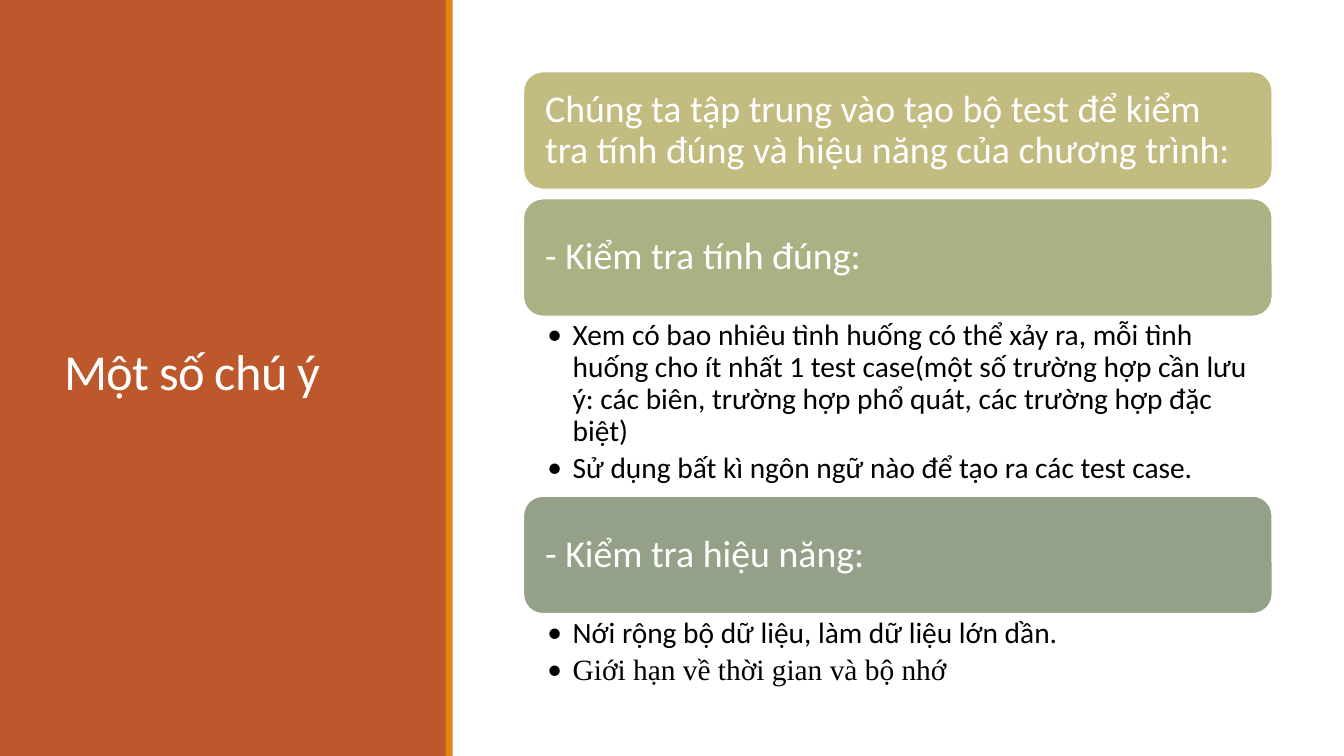
from pptx import Presentation
from pptx.dml.color import RGBColor
from pptx.enum.shapes import MSO_SHAPE as Shape
from pptx.enum.text import MSO_ANCHOR as Anchor, PP_ALIGN as Align
from pptx.oxml import parse_xml
from pptx.oxml.ns import nsdecls
from pptx.util import Inches, Pt

COLORS = {
    "rust": "BD582C",
    "orange": "E48312",
    "white": "FFFFFF",
    "black": "000000",
    "khaki": "C2BC80",
    "sage": "A8B283",
    "moss": "94A088",
}
LEFT, WIDTH, HEADING_HEIGHT = 5.19, 7.43, 1.17


def rgb(name):
    return RGBColor.from_string(COLORS[name])


def write(para, text, size=21, color="black", font="Calibri",
          line=0.9, after=0, tracking=0, bullet=False):
    """Put one formatted run of text into a paragraph."""
    para.alignment = Align.LEFT
    para.line_spacing = line
    para.space_after = Pt(after)
    span = para.add_run()
    span.text = text
    span.font.name = font
    span.font.size = Pt(size)
    span.font.color.rgb = rgb(color)
    if tracking:
        span._r.get_or_add_rPr().set("spc", str(int(tracking * 100)))
    if bullet:
        props = para._p.get_or_add_pPr()
        props.set("marL", str(Inches(0.25)))
        props.set("indent", str(-Inches(0.25)))
        props.append(parse_xml(f'<a:buFont {nsdecls("a")} typeface="Calibri"/>'))
        props.append(parse_xml(f'<a:buChar {nsdecls("a")} char="•"/>'))


class SlideBuilder:
    def __init__(self, page):
        self.page = page

    def frame(self, box, insets, anchor):
        frame = box.text_frame
        frame.word_wrap = True
        frame.vertical_anchor = anchor
        (frame.margin_left, frame.margin_top,
         frame.margin_right, frame.margin_bottom) = map(Inches, insets)
        return frame

    def block(self, bounds, fill, shape=Shape.RECTANGLE, line=None):
        box = self.page.shapes.add_shape(shape, *map(Inches, bounds))
        box.shadow.inherit = False
        box.fill.solid()
        box.fill.fore_color.rgb = rgb(fill)
        if line:
            box.line.color.rgb = rgb(line)
            box.line.width = Pt(1.25)
        else:
            box.line.fill.background()
        return box

    def title(self, bounds, text):
        box = self.page.shapes.add_textbox(*map(Inches, bounds))
        frame = self.frame(box, (0.1, 0.05, 0.1, 0.05), Anchor.MIDDLE)
        write(frame.paragraphs[0], text, size=36, color="white",
              line=0.85, tracking=-0.5)

    def heading(self, top, text, fill):
        box = self.block((LEFT, top, WIDTH, HEADING_HEIGHT), fill,
                         Shape.ROUNDED_RECTANGLE, line="white")
        frame = self.frame(box, (0.16,) * 4, Anchor.MIDDLE)
        write(frame.paragraphs[0], text, size=27, color="white")

    def bullets(self, top, height, items):
        box = self.page.shapes.add_textbox(
            *map(Inches, (LEFT, top, WIDTH, height)))
        frame = self.frame(box, (0.24, 0.04, 0.21, 0.04), Anchor.TOP)
        for index, (text, font) in enumerate(items):
            para = frame.add_paragraph() if index else frame.paragraphs[0]
            write(para, text, font=font, after=4, bullet=True)


def main():
    deck = Presentation()
    deck.slide_width, deck.slide_height = Inches(13.33), Inches(7.5)
    builder = SlideBuilder(deck.slides.add_slide(deck.slide_layouts[6]))

    # Title panel
    builder.block((0, 0, 4.43, 7.5), "rust")
    builder.title((0.54, 0.57, 3.37, 6.31), "Một số chú ý")
    builder.block((4.42, 0, 0.07, 7.5), "orange")

    # Headings, each with the height of its bullet list
    sections = [
        (0.71, "khaki", "Chúng ta tập trung vào tạo bộ test để kiểm tra tính "
         "đúng và hiệu năng của chương trình:", 0, []),
        (1.97, "sage", "- Kiểm tra tính đúng:", 1.77, [
            ("Xem có bao nhiêu tình huống có thể xảy ra, mỗi tình huống cho ít "
             "nhất 1 test case(một số trường hợp cần lưu ý: các biên, trường "
             "hợp phổ quát, các trường hợp đặc biệt)", "Calibri"),
            ("Sử dụng bất kì ngôn ngữ nào để tạo ra các test case.", "Calibri"),
        ]),
        (4.92, "moss", "- Kiểm tra hiệu năng:", 0.78, [
            ("Nới rộng bộ dữ liệu, làm dữ liệu lớn dần.", "Calibri"),
            ("Giới hạn về thời gian và bộ nhớ", "Times New Roman"),
        ]),
    ]
    for top, fill, heading, height, items in sections:
        builder.heading(top, heading, fill)
        if items:
            builder.bullets(top + HEADING_HEIGHT, height, items)

    deck.save("out.pptx")


if __name__ == "__main__":
    main()
